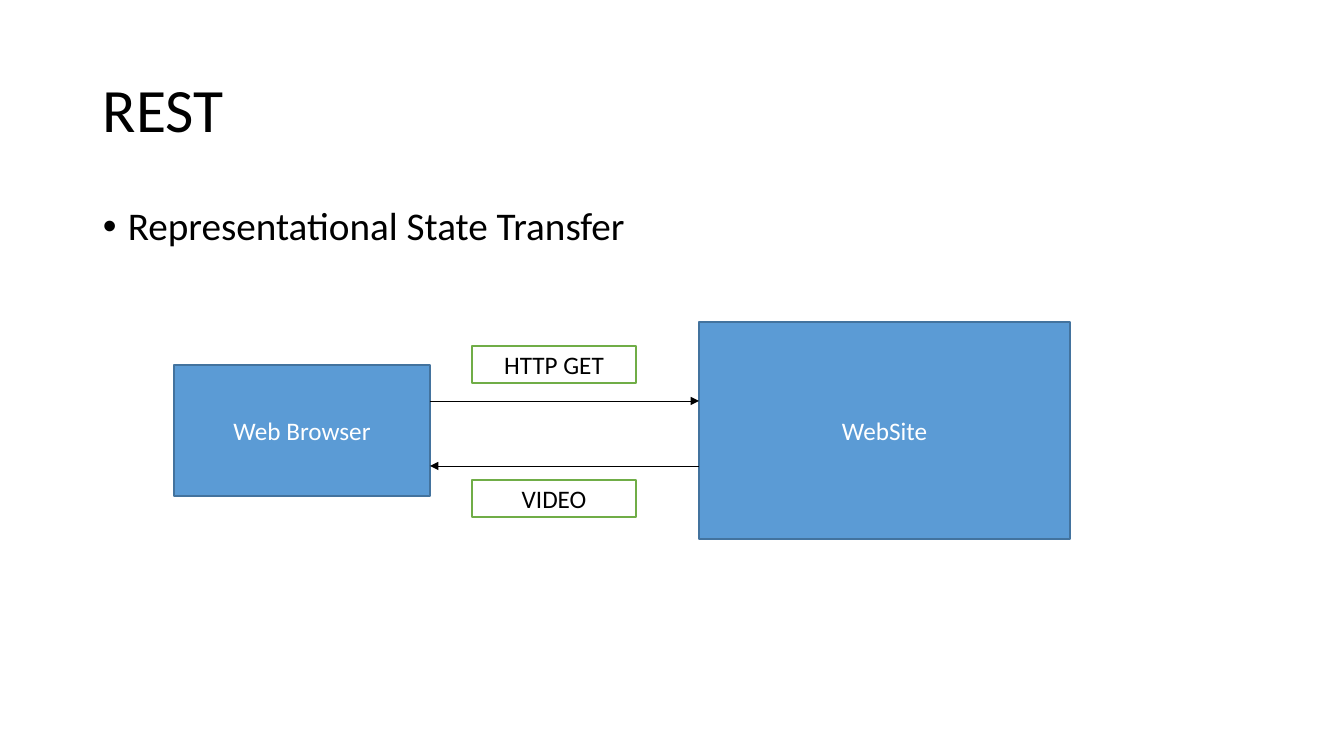
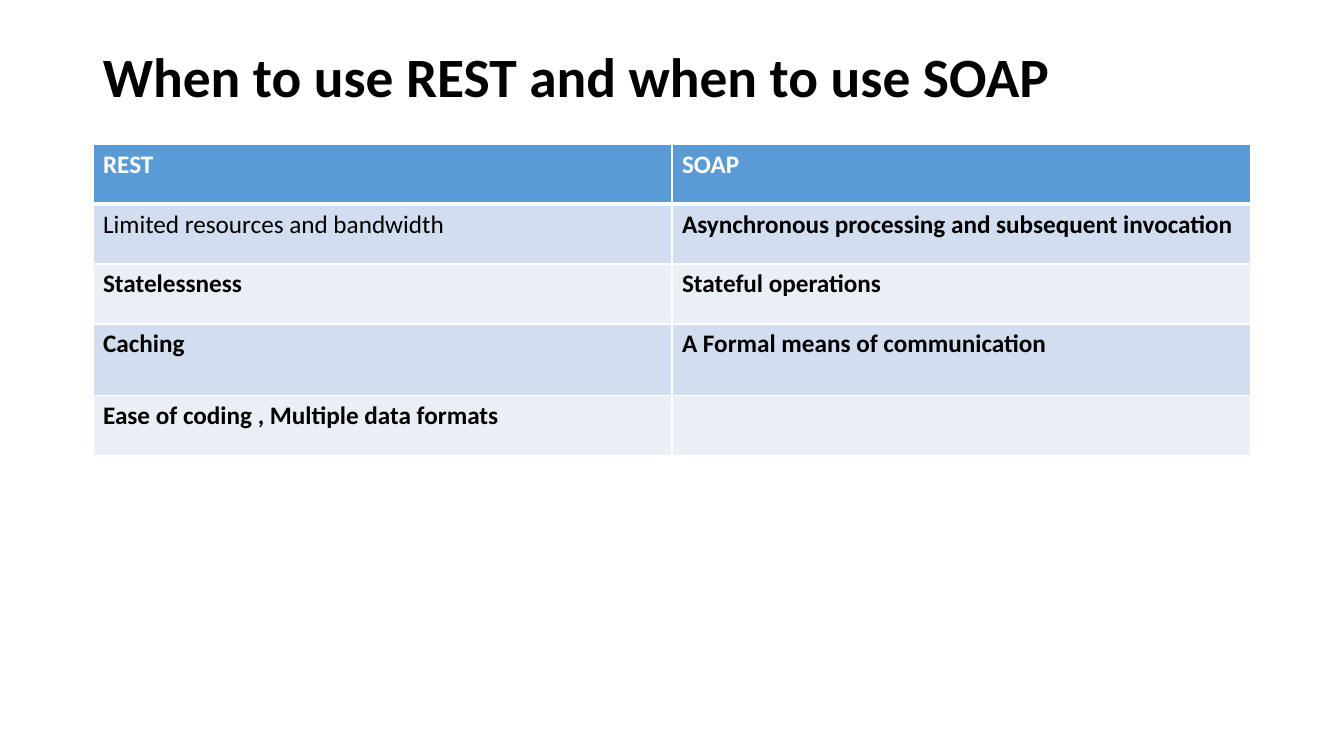
from collections import namedtuple

from lxml.etree import SubElement
from pptx import Presentation
from pptx.dml.color import RGBColor
from pptx.enum.shapes import MSO_CONNECTOR, MSO_SHAPE
from pptx.enum.text import MSO_ANCHOR, PP_ALIGN
from pptx.oxml import parse_xml
from pptx.oxml.ns import nsdecls, qn
from pptx.util import Emu, Pt

Box = namedtuple("Box", "left top width height")

EMU_PER_PX = 12192000 / 1344
FONT = "Calibri"
BLACK, WHITE = "000000", "FFFFFF"
BLUE, DARK_BLUE, GREEN = "5B9BD5", "43739E", "70AD47"
BANDS = ("D2DEEF", "EAEFF7")

PAGE_SIZE = (1344, 756)
MARGIN, CONTENT_WIDTH = 93, 1158


def px(length):
    return Emu(round(length * EMU_PER_PX))


def color(hex_text):
    return RGBColor.from_string(hex_text)


def place(box):
    return [px(length) for length in box]


def style_text(para, size, ink=BLACK, bold=False):
    for span in para.runs:
        span.font.name = FONT
        span.font.size = Pt(size)
        span.font.bold = bold
        span.font.color.rgb = color(ink)


def add_text(page, box, text, size, bold=False, anchor=MSO_ANCHOR.TOP):
    frame = page.shapes.add_textbox(*place(box)).text_frame
    frame.word_wrap = True
    frame.vertical_anchor = anchor
    para = frame.paragraphs[0]
    para.text = text
    para.line_spacing = 0.9
    style_text(para, size, bold=bold)
    return para


def add_title(page, text, height, size, bold=False):
    box = Box(MARGIN, 40, CONTENT_WIDTH, height)
    add_text(page, box, text, size, bold, MSO_ANCHOR.MIDDLE)


def add_bullet(page, box, text):
    para = add_text(page, box, text, 28)
    para.space_before = Pt(10)
    properties = para._p.get_or_add_pPr()
    properties.set("marL", str(px(25)))
    properties.set("indent", str(-px(25)))
    SubElement(properties, qn("a:buFont"), typeface="Arial")
    SubElement(properties, qn("a:buChar"), char="•")


def add_block(page, box, text, fill, line, ink):
    block = page.shapes.add_shape(MSO_SHAPE.RECTANGLE, *place(box))
    block.shadow.inherit = False
    block.fill.solid()
    block.fill.fore_color.rgb = color(fill)
    block.line.color.rgb = color(line)
    block.line.width = Pt(1)
    frame = block.text_frame
    frame.word_wrap = True
    frame.vertical_anchor = MSO_ANCHOR.MIDDLE
    para = frame.paragraphs[0]
    para.text = text
    para.alignment = PP_ALIGN.CENTER
    style_text(para, 18, ink)


def add_arrow(page, start, end, y):
    arrow = page.shapes.add_connector(
        MSO_CONNECTOR.STRAIGHT, px(start), px(y), px(end), px(y))
    arrow.line.color.rgb = color(BLACK)
    arrow.line.width = Pt(0.5)
    SubElement(arrow.line._get_or_add_ln(), qn("a:tailEnd"), type="triangle")
    SubElement(arrow._element.spPr, qn("a:effectLst"))


def add_exchange(page, box):
    """Two parties, with a request going right and a reply going left."""
    browser_height = 131
    browser = Box(box.left, box.top + (box.height - browser_height) // 2,
                  256, browser_height)
    site = Box(box.left + 525, box.top, box.width - 525, box.height)
    for party, text in ((browser, "Web Browser"), (site, "WebSite")):
        add_block(page, party, text, BLUE, DARK_BLUE, WHITE)

    browser_edge = browser.left + browser.width
    add_arrow(page, browser_edge, site.left, box.top + 79)
    add_arrow(page, site.left, browser_edge, box.top + 144)

    for text, offset in (("HTTP GET", 24), ("VIDEO", 158)):
        label = Box(box.left + 298, box.top + offset, 164, 37)
        add_block(page, label, text, WHITE, GREEN, BLACK)


def set_borders(cell, top, bottom):
    """White borders; top and bottom are widths in points, the sides 1 pt."""
    properties = cell._tc.get_or_add_tcPr()
    widths = {"lnL": 1, "lnR": 1, "lnT": top, "lnB": bottom}
    for position, (side, width) in enumerate(widths.items()):
        properties.insert(position, parse_xml(
            f'<a:{side} {nsdecls("a")} w="{Pt(width)}"><a:solidFill>'
            f'<a:srgbClr val="{WHITE}"/></a:solidFill></a:{side}>'))


def add_comparison(page, box, rows, heights, plain_cell):
    """A banded table whose text is bold except in plain_cell (row, column)."""
    table = page.shapes.add_table(len(rows), len(rows[0]), *place(box)).table
    for column in table.columns:
        column.width = px(box.width / len(rows[0]))
    for r, (texts, height) in enumerate(zip(rows, heights)):
        table.rows[r].height = px(height)
        for c, text in enumerate(texts):
            cell = table.cell(r, c)
            cell.fill.solid()
            cell.fill.fore_color.rgb = color(BANDS[(r - 1) % 2] if r else BLUE)
            set_borders(cell, 3 if r == 1 else 1, 1 if r else 3)
            para = cell.text_frame.paragraphs[0]
            para.text = text
            style_text(para, 18, BLACK if r else WHITE, (r, c) != plain_cell)


def build_rest(page):
    add_title(page, "REST", 146, 44)
    add_bullet(page, Box(MARGIN, 202, CONTENT_WIDTH, 480),
               "Representational State Transfer")
    add_exchange(page, Box(174, 322, 896, 217))


def build_rest_or_soap(page):
    add_title(page, "When to use REST and when to use SOAP", 80, 39.6, True)
    rows = (
        ("REST", "SOAP"),
        ("Limited resources and bandwidth",
         "Asynchronous processing and subsequent invocation"),
        ("Statelessness", "Stateful operations"),
        ("Caching", "A Formal means of communication"),
        ("Ease of coding , Multiple data formats", ""),
    )
    heights = (60, 60, 60, 72, 60)
    add_comparison(page, Box(MARGIN, 144, CONTENT_WIDTH, sum(heights)),
                   rows, heights, plain_cell=(1, 0))


def main():
    deck = Presentation()
    deck.slide_width, deck.slide_height = place(PAGE_SIZE)
    for build in (build_rest, build_rest_or_soap):
        build(deck.slides.add_slide(deck.slide_layouts[6]))
    deck.save("out.pptx")


if __name__ == "__main__":
    main()
